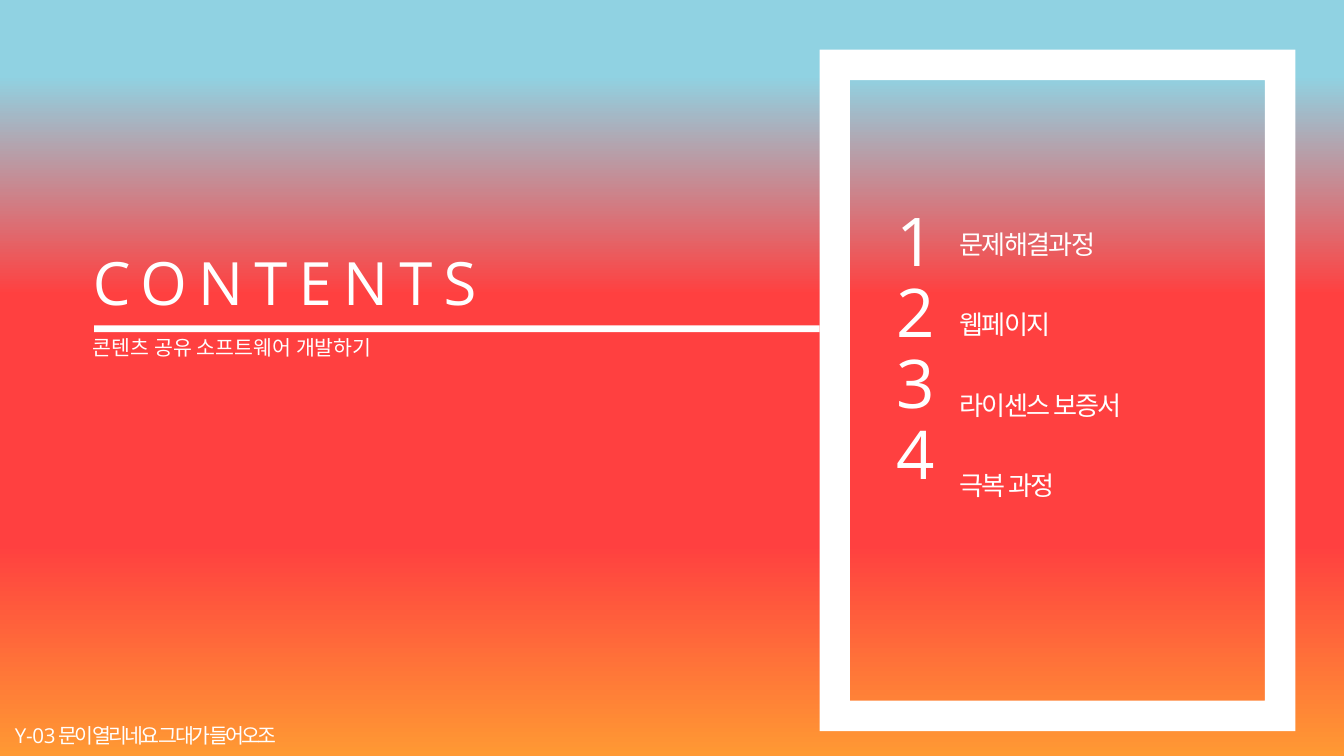
from lxml.etree import SubElement
from pptx import Presentation
from pptx.dml.color import RGBColor
from pptx.enum.shapes import MSO_SHAPE as Shape
from pptx.enum.text import MSO_ANCHOR as Anchor, MSO_AUTO_SIZE as AutoSize, PP_ALIGN as Align
from pptx.oxml.ns import qn
from pptx.util import Cm, Pt

WHITE = "FFFFFF"
SUNSET = [(10, "90D2E2"), (39, "FF4040"), (72, "FF4040"), (100, "FF9933")]
ITEMS = [("문제해결과정", 4.09), ("웹페이지", 2.41), ("라이센스 보증서", 4.39), ("극복 과정", 3.18)]
ITEM_TOP, ITEM_STEP = 4.19, 1.52


def color(value):
    return RGBColor.from_string(value)


class Deck:
    """Holds the text style and the slide being built."""

    font_name = "Open Sans"
    ink = WHITE

    def __init__(self, width, height):
        self.presentation = Presentation()
        self.presentation.slide_width = Cm(width)
        self.presentation.slide_height = Cm(height)
        self.slide = self.presentation.slides.add_slide(self.presentation.slide_layouts[5])

    def background(self, stops):
        """Fill the slide with a gradient running from top to bottom."""
        fill = self.slide.background.fill
        fill.gradient()
        fill.gradient_angle = 270
        stop_list = self.slide.element.find(".//" + qn("a:gsLst"))
        for stop in list(stop_list):
            stop_list.remove(stop)
        for percent, value in stops:
            stop = SubElement(stop_list, qn("a:gs"), pos=str(percent * 1000))
            SubElement(stop, qn("a:srgbClr"), val=value)

    def shape(self, kind, left, top, width, height):
        shape = self.slide.shapes.add_shape(kind, Cm(left), Cm(top), Cm(width), Cm(height))
        shape.shadow.inherit = False
        shape.fill.solid()
        shape.fill.fore_color.rgb = color(self.ink)
        shape.line.fill.background()
        return shape

    def set_lines(self, shape, lines, wrap=True):
        """Fill a shape with lines given as (text, size, letter spacing)."""
        frame = shape.text_frame
        frame.word_wrap = wrap
        frame.auto_size = AutoSize.NONE
        frame.vertical_anchor = Anchor.TOP
        for index, (text, size, spacing) in enumerate(lines):
            paragraph = frame.add_paragraph() if index else frame.paragraphs[0]
            paragraph.text = text
            paragraph.alignment = Align.LEFT
            font = paragraph.font
            font.name = self.font_name
            font.size = Pt(size)
            font.color.rgb = color(self.ink)
            font._rPr.set("spc", str(round(spacing * 100)))
        return frame.paragraphs

    def title(self, lines, left, top, width, height):
        title = self.slide.shapes.title
        title.left, title.top, title.width, title.height = map(Cm, (left, top, width, height))
        return self.set_lines(title, lines)

    def text(self, lines, left, top, width, height, wrap=True):
        box = self.slide.shapes.add_textbox(Cm(left), Cm(top), Cm(width), Cm(height))
        return self.set_lines(box, lines, wrap)


def main():
    deck = Deck(25.4, 14.29)
    deck.background(SUNSET)

    frame = deck.shape(Shape.FRAME, 15.49, 0.94, 8.99, 12.88)
    frame.adjustments[0] = 0.064
    heading, subtitle = deck.title(
        [("CONTENTS", 32, 6), ("콘텐츠 공유 소프트웨어 개발하기", 11, 0)], 1.5, 4.52, 9.93, 4.01)
    heading.line_spacing = subtitle.line_spacing = 1.0
    heading.space_before = Pt(0)
    subtitle.space_before = Pt(9.4)
    deck.shape(Shape.RECTANGLE, 1.78, 6.15, 13.71, 0.13)

    numbers = [(str(number), 36, -3) for number in range(1, len(ITEMS) + 1)]
    for paragraph in deck.text(numbers, 16.69, 3.84, 1.19, 6.4, wrap=False):
        paragraph.line_spacing = 0.88
    for index, (label, width) in enumerate(ITEMS):
        deck.text([(label, 14, -0.9)], 17.88, ITEM_TOP + index * ITEM_STEP, width, 0.86)

    deck.text([("Y - 0 3 문이 열리네요 그대가 들어오조", 11, -1.5)], 0.03, 13.54, 12.7, 0.74)
    deck.presentation.save("out.pptx")


if __name__ == "__main__":
    main()
